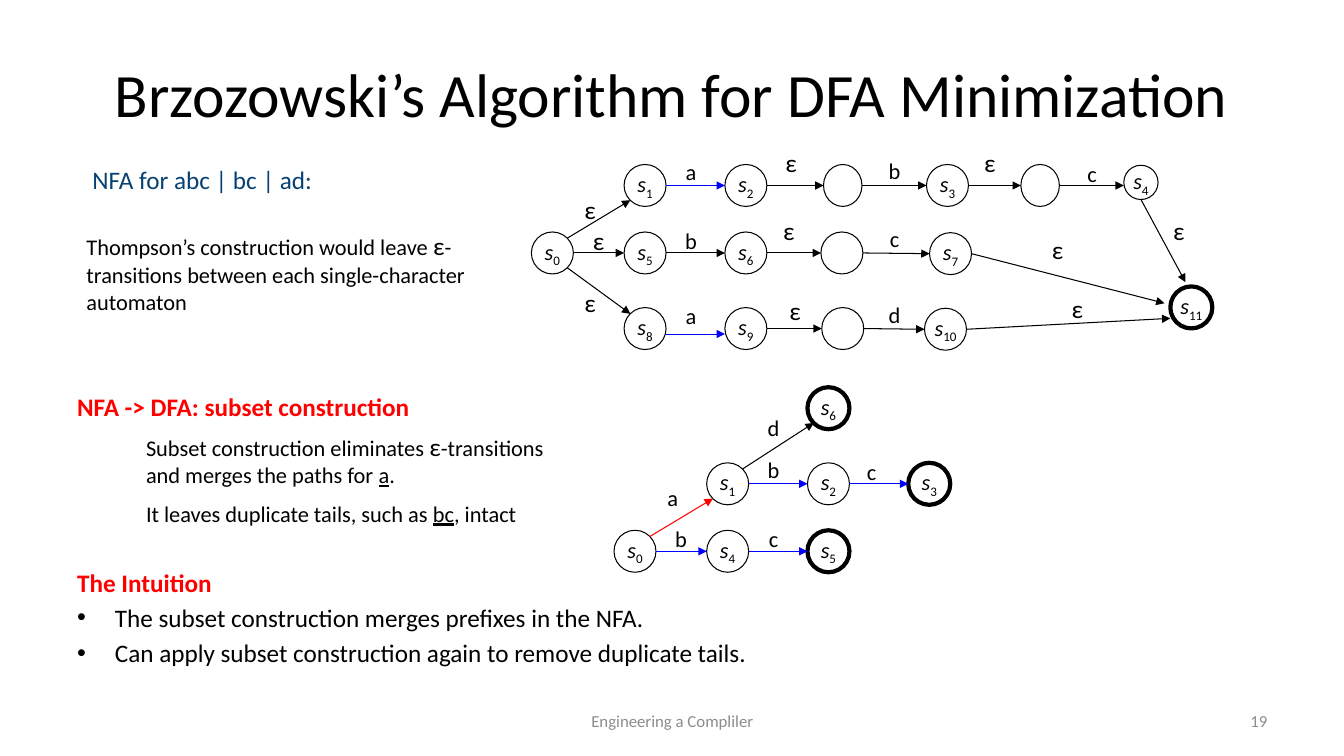
from dataclasses import dataclass
from lxml.etree import SubElement
from pptx import Presentation
from pptx.dml.color import RGBColor
from pptx.enum.shapes import MSO_CONNECTOR, MSO_SHAPE
from pptx.enum.text import MSO_ANCHOR, PP_ALIGN
from pptx.oxml.ns import qn
from pptx.util import Pt


@dataclass(frozen=True)
class Theme:
    font: str = "Calibri"
    black: str = "000000"
    red: str = "FF0000"
    blue: str = "0000FF"
    navy: str = "074073"
    gray: str = "8C8C8C"
    title: int = 44
    body: int = 18
    note: int = 16
    footer: int = 12
    thin: float = 0.75
    thick: float = 3


THEME = Theme()
LEFT, CENTER, RIGHT = PP_ALIGN.LEFT, PP_ALIGN.CENTER, PP_ALIGN.RIGHT
BODY = {"size": THEME.body}
HEADING = {"size": THEME.body, "color": THEME.red, "bold": True}
NOTE = {"size": THEME.note}
KEY = {"size": THEME.note, "underline": True}
FOOTER = {"size": THEME.footer, "color": THEME.gray}

TITLE = [[("Brzozowski’s Algorithm for DFA Minimization", {"size": THEME.title})]]
TITLE_BOX = (48, 21.6, 864, 90)

TEXTS = [
    ((48, 275.8, 864, 30), LEFT, 0, False,
     [[("NFA -> DFA: subset construction", HEADING)]]),
    ((48, 401.5, 864, 108), LEFT, 3.5, True,
     [[("The Intuition", HEADING)],
      [("The subset construction merges prefixes in the NFA.", BODY)],
      [("Can apply subset construction again to remove duplicate tails.", BODY)]]),
    ((59, 113.8, 232, 29), LEFT, 0, False,
     [[("NFA for abc | bc | ad:", {"size": THEME.body, "color": THEME.navy})]]),
    ((54.7, 161.3, 288, 68), LEFT, 0, False,
     [[("Thompson’s construction would leave ", NOTE), ("ε", BODY),
       ("-transitions between each single-character automaton", NOTE)]]),
    ((97.2, 304.6, 312, 78), LEFT, 8, False,
     [[("Subset construction eliminates ", NOTE), ("ε", BODY),
       ("-transitions and merges the paths for ", NOTE), ("a", KEY), (".", NOTE)],
      [("It leaves duplicate tails, such as ", NOTE), ("bc", KEY), (", intact", NOTE)]]),
]
FOOTERS = [
    ((328.3, 500.4, 304, 28.8), CENTER, "Engineering a Compliler"),
    ((688.3, 500.4, 224, 28.8), RIGHT, "19"),
]

STATE, JOINT, SMALL = (30, 30), (27.5, 30), (24.5, 24.5)
E, W, S = (0.5, 0), (-0.5, 0), (0, 0.5)
NE, SE, SW, NW = (0.35, -0.35), (0.35, 0.35), (-0.35, 0.35), (-0.35, -0.35)

TOP, MIDDLE, BOTTOM = 132.5, 180.7, 234.7
NFA_STATES = {
    "0": (394.6, MIDDLE, STATE), "1": (460.8, TOP, STATE),
    "2": (532.8, TOP, STATE), "ab": (602, TOP, JOINT),
    "3": (676.8, TOP, STATE), "bc": (743, TOP, JOINT),
    "4": (815, 130.3, SMALL), "5": (460.8, MIDDLE, STATE),
    "6": (532.8, MIDDLE, STATE), "b-c": (601.4, MIDDLE, STATE),
    "7": (679, 181.2, STATE), "8": (460.8, BOTTOM, STATE),
    "9": (532.8, BOTTOM, STATE), "ad": (602, BOTTOM, STATE),
    "10": (675.4, 235.2, STATE), "11": (851, 219.6, STATE),
}
NFA_MOVES = [
    ("0", NE, "1", SW, THEME.black, "ε", 409.5, 135.5),
    ("0", E, "5", W, THEME.black, "ε", 415.5, 157.5),
    ("0", SE, "8", NW, THEME.black, "ε", 409.5, 201.5),
    ("1", E, "2", W, THEME.blue, "a", 481.5, 109.5),
    ("2", E, "ab", W, THEME.black, "ε", 553, 102),
    ("ab", E, "3", W, THEME.black, "b", 627, 108.5),
    ("3", E, "bc", W, THEME.black, "ε", 695, 102),
    ("bc", E, "4", (-0.5, 0.09), THEME.black, "c", 768, 111),
    ("5", E, "6", W, THEME.black, "b", 481.5, 158.5),
    ("6", E, "b-c", W, THEME.black, "ε", 551.5, 150),
    ("b-c", E, "7", W, THEME.black, "c", 627, 157.5),
    ("8", (0.5, 0.13), "9", (-0.5, 0.13), THEME.blue, "a", 481.5, 212.5),
    ("9", E, "ad", W, THEME.black, "ε", 556, 207.5),
    ("ad", E, "10", W, THEME.black, "d", 627, 211.5),
    ("4", S, "11", (-0.14, -0.6), THEME.black, "ε", 830, 150.5),
    ("7", E, "11", (-0.64, -0.1), THEME.black, "ε", 743.5, 164),
    ("10", E, "11", (-0.5, 0.26), THEME.black, "ε", 757.5, 206),
]

DFA_STATES = {
    "0": (453.6, 393.8, STATE), "1": (519.8, 345.6, STATE),
    "2": (591.8, 345.6, STATE), "3": (663.8, 345.6, STATE),
    "4": (519.8, 393.8, STATE), "5": (591.8, 393.8, STATE),
    "6": (591.8, 291.6, STATE),
}
DFA_MOVES = [
    ("0", NE, "1", SW, THEME.red, "a", 468.5, 342.5),
    ("0", E, "4", W, THEME.blue, "b", 474.5, 371.5),
    ("1", E, "2", W, THEME.blue, "b", 540.5, 322),
    ("4", E, "5", W, THEME.blue, "c", 540.5, 371.5),
    ("1", NE, "6", SW, THEME.black, "d", 540.5, 292.5),
    ("2", E, "3", W, THEME.blue, "c", 610.5, 323.5),
]
AUTOMATA = [(DFA_STATES, DFA_MOVES, {"3", "5", "6"}), (NFA_STATES, NFA_MOVES, {"11"})]


def points(*lengths):
    return [Pt(length) for length in lengths]


def add_run(paragraph, text, size, color=THEME.black, bold=False, italic=False,
            underline=False, subscript=False):
    run = paragraph.add_run()
    run.text = text
    font = run.font
    font.name, font.size = THEME.font, Pt(size)
    font.bold, font.italic, font.underline = bold, italic, underline
    font.color.rgb = RGBColor.from_string(color)
    if subscript:
        run._r.get_or_add_rPr().set("baseline", "-25000")


def write(frame, paragraphs, align=LEFT, gap=0, bulleted=False, anchor=MSO_ANCHOR.TOP):
    frame.word_wrap = True
    frame.vertical_anchor = anchor
    for position, runs in enumerate(paragraphs):
        paragraph = frame.add_paragraph() if position else frame.paragraphs[0]
        paragraph.alignment = align
        if position:
            paragraph.space_before = Pt(gap)
        if position and bulleted:
            properties = paragraph._p.get_or_add_pPr()
            properties.set("marL", str(Pt(27)))
            properties.set("indent", str(Pt(-27)))
            SubElement(properties, qn("a:buFont")).set("typeface", "Arial")
            SubElement(properties, qn("a:buChar")).set("char", "•")
        for text, style in runs:
            add_run(paragraph, text, **style)


def add_state(shapes, name, x, y, size, final):
    width, height = size
    state = shapes.add_shape(
        MSO_SHAPE.OVAL, *points(x - width / 2, y - height / 2, width, height))
    state.shadow.inherit = False
    state.fill.background()
    state.line.color.rgb = RGBColor.from_string(THEME.black)
    state.line.width = Pt(THEME.thick if final else THEME.thin)
    if name.isdigit():
        write(state.text_frame,
              [[("s", {"size": THEME.note, "italic": True}),
                (name, {"size": THEME.note, "subscript": True})]],
              CENTER, anchor=MSO_ANCHOR.MIDDLE)
        state.text_frame.word_wrap = False


def site(state, direction):
    x, y, (width, height) = state
    return points(x + direction[0] * width, y + direction[1] * height)


def add_move(shapes, start, end, color, symbol, left, top):
    arrow = shapes.add_connector(MSO_CONNECTOR.STRAIGHT, *start, *end)
    arrow.line.color.rgb = RGBColor.from_string(color)
    arrow.line.width = Pt(THEME.thin)
    SubElement(arrow.line._get_or_add_ln(), qn("a:tailEnd")).set("type", "triangle")
    SubElement(arrow._element.spPr, qn("a:effectLst"))
    size, height = (THEME.body, 29) if symbol == "ε" else (THEME.note, 26.6)
    label = shapes.add_textbox(*points(left, top, 24, height))
    write(label.text_frame, [[(symbol, {"size": size})]], CENTER)


def main():
    deck = Presentation()
    deck.slide_width, deck.slide_height = points(960, 540)
    slide = deck.slides.add_slide(deck.slide_layouts[5])
    title = slide.shapes.title
    title.left, title.top, title.width, title.height = points(*TITLE_BOX)
    write(title.text_frame, TITLE, CENTER, anchor=MSO_ANCHOR.MIDDLE)
    for box, align, gap, bulleted, paragraphs in TEXTS:
        write(slide.shapes.add_textbox(*points(*box)).text_frame,
              paragraphs, align, gap, bulleted)
    for box, align, text in FOOTERS:
        write(slide.shapes.add_textbox(*points(*box)).text_frame,
              [[(text, FOOTER)]], align, anchor=MSO_ANCHOR.MIDDLE)
    for states, moves, finals in AUTOMATA:
        shapes = slide.shapes.add_group_shape().shapes
        for name, (x, y, size) in states.items():
            add_state(shapes, name, x, y, size, name in finals)
        for source, leave, target, enter, color, symbol, left, top in moves:
            add_move(shapes, site(states[source], leave), site(states[target], enter),
                     color, symbol, left, top)
    deck.save("out.pptx")


if __name__ == "__main__":
    main()
